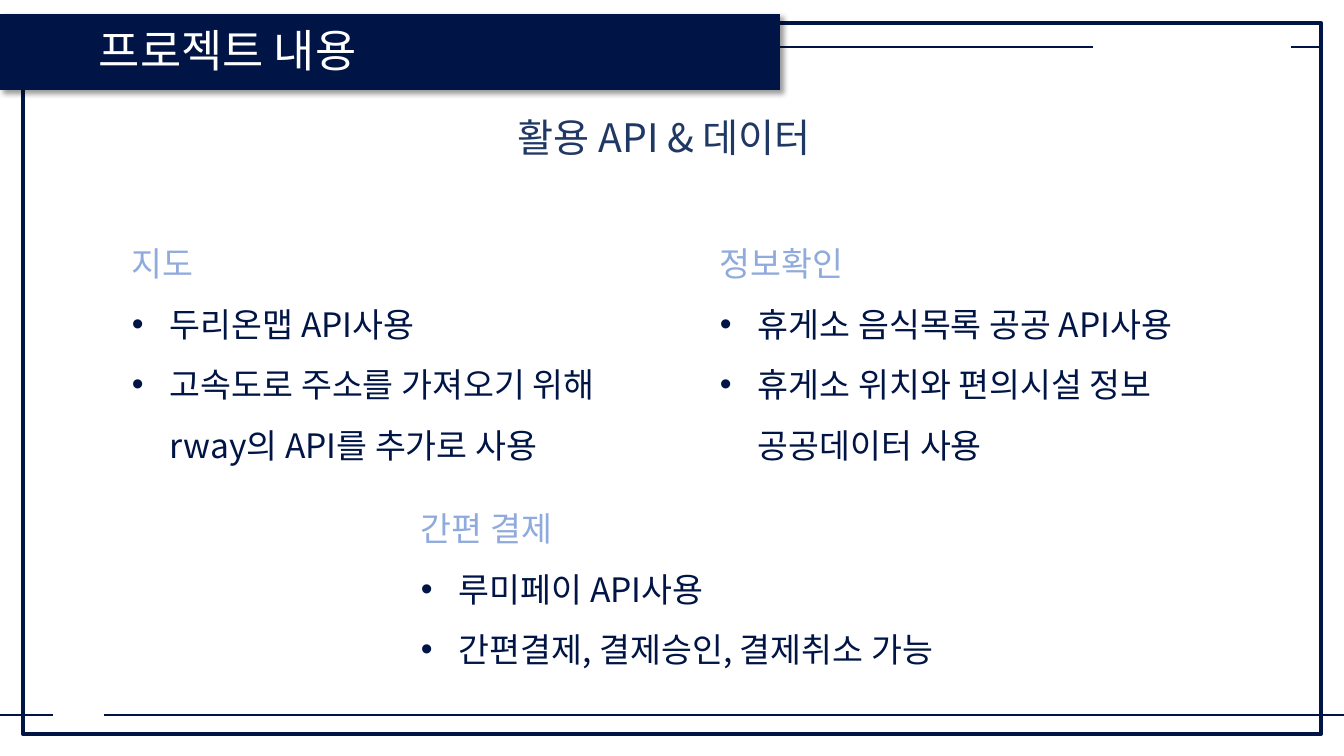
import pptx
import pptx.util
import pptx.dml.color
import pptx.enum.shapes
import pptx.oxml.ns
from lxml import etree

# Content: text, size, colour, box
NAVY, FONT = "001545", "Noto Sans CJK KR"
HEADS = [
    ("프로젝트 내용", 32, "FFFFFF", (89, 18, 433, 65)),
    ("활용 API & 데이터", 28, "203864", (508, 108, 367, 57)),
]
GROUPS = [
    ("지도", ["두리온맵 API사용",
            "고속도로 주소를 가져오기 위해 rway의 API를 추가로 사용"],
     (122, 218, 489, 245)),
    ("정보확인", ["휴게소 음식목록 공공 API사용",
              "휴게소 위치와 편의시설 정보 공공데이터 사용"],
     (710, 218, 489, 245)),
    ("간편 결제", ["루미페이 API사용", "간편결제, 결제승인, 결제취소 가능"],
     (411, 483, 625, 183)),
]
FRAME = (23, 23, 1298, 711)
BANNER = (0, 14, 780, 76)
RULES = [(0, 1093, 47), (1291, 1321, 47), (104, 1344, 715), (0, 53, 715)]

# Helpers
SCALE = 914400 / 100.8
INDENT = 38


def px(n):
    return pptx.util.Emu(round(n * SCALE))


def hue(code):
    return pptx.dml.color.RGBColor.from_string(code)


def sub(node, tag, **keys):
    return etree.SubElement(node, pptx.oxml.ns.qn(tag), keys)


def rect(box):
    kind = pptx.enum.shapes.MSO_SHAPE.RECTANGLE
    shape = slide.shapes.add_shape(kind, *map(px, box))
    shape.shadow.inherit = False
    return shape


def rule(left, right, y):
    line = slide.shapes.add_connector(
        pptx.enum.shapes.MSO_CONNECTOR.STRAIGHT,
        px(left), px(y), px(right), px(y))
    line.line.color.rgb = hue(NAVY)
    line.line.width = pptx.util.Pt(2)
    sub(line._element.spPr, "a:effectLst")


def frame(box):
    text = slide.shapes.add_textbox(*map(px, box)).text_frame
    text.word_wrap = True
    return text


def write(para, words, size, code):
    run = para.add_run()
    run.text = words
    run.font.size = pptx.util.Pt(size)
    run.font.color.rgb = hue(code)
    run.font.name = FONT
    sub(run._r.get_or_add_rPr(), "a:ea", typeface=FONT)


def bullet(para):
    props = para._p.get_or_add_pPr()
    props.set("marL", str(px(INDENT)))
    props.set("indent", str(-px(INDENT)))
    sub(props, "a:buFont", typeface="Arial")
    sub(props, "a:buChar", char="•")


# Slide
deck = pptx.Presentation()
deck.slide_width, deck.slide_height = px(1344), px(756)
slide = deck.slides.add_slide(deck.slide_layouts[6])

# Border, rules and banner
edge = rect(FRAME)
edge.fill.background()
edge.line.color.rgb = hue(NAVY)
edge.line.width = pptx.util.Pt(3)
for ends in RULES:
    rule(*ends)

banner = rect(BANNER)
banner.fill.solid()
banner.fill.fore_color.rgb = hue(NAVY)
banner.line.fill.background()
glow = banner._element.spPr.find(pptx.oxml.ns.qn("a:effectLst"))
shade = sub(glow, "a:outerShdw", blurRad=str(pptx.util.Pt(4)),
            dist=str(pptx.util.Pt(3)), dir="2700000", algn="tl",
            rotWithShape="0")
sub(sub(shade, "a:srgbClr", val="000000"), "a:alpha", val="40000")

# Headings
for words, size, code, box in HEADS:
    write(frame(box).paragraphs[0], words, size, code)

# Topic groups
for topic, points, box in GROUPS:
    text = frame(box)
    for i, words in enumerate([topic] + points):
        para = text.add_paragraph() if i else text.paragraphs[0]
        para.line_spacing = 1.5
        if i:
            bullet(para)
        write(para, words, 24, NAVY if i else "8FAADC")

deck.save("out.pptx")
